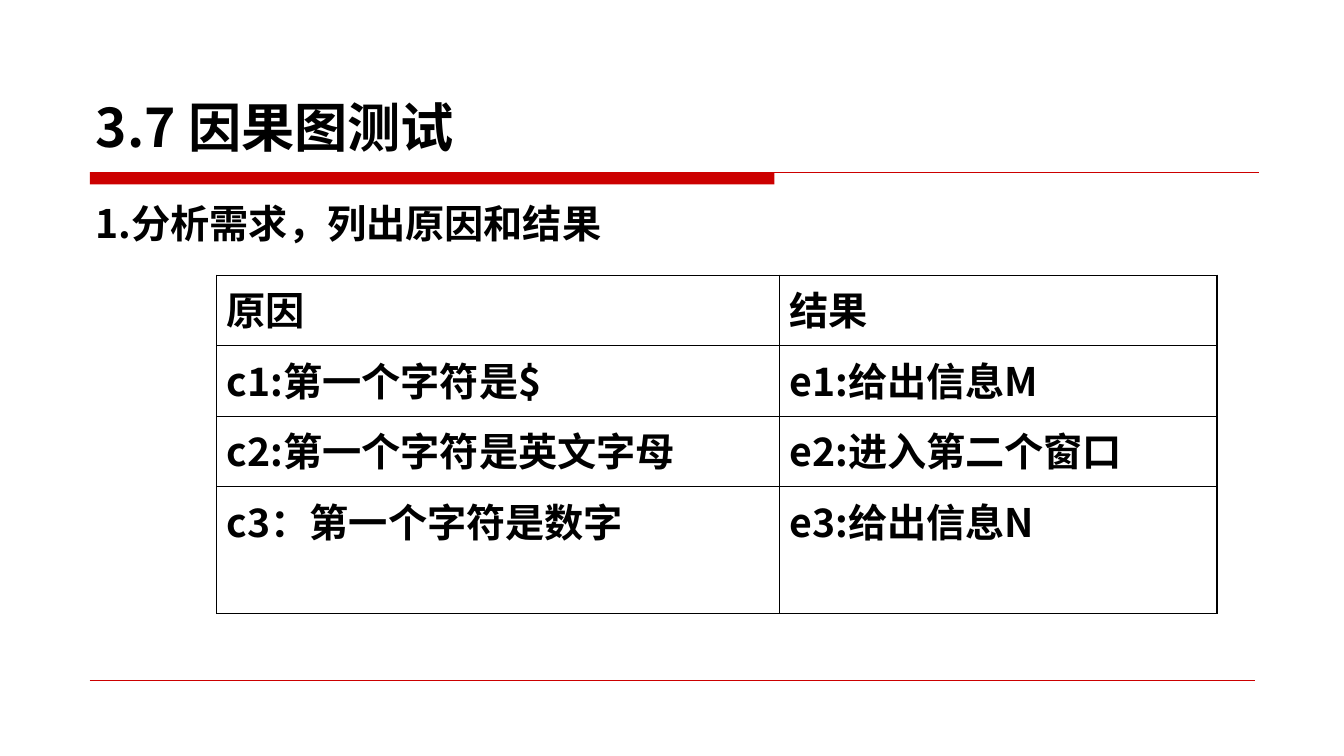
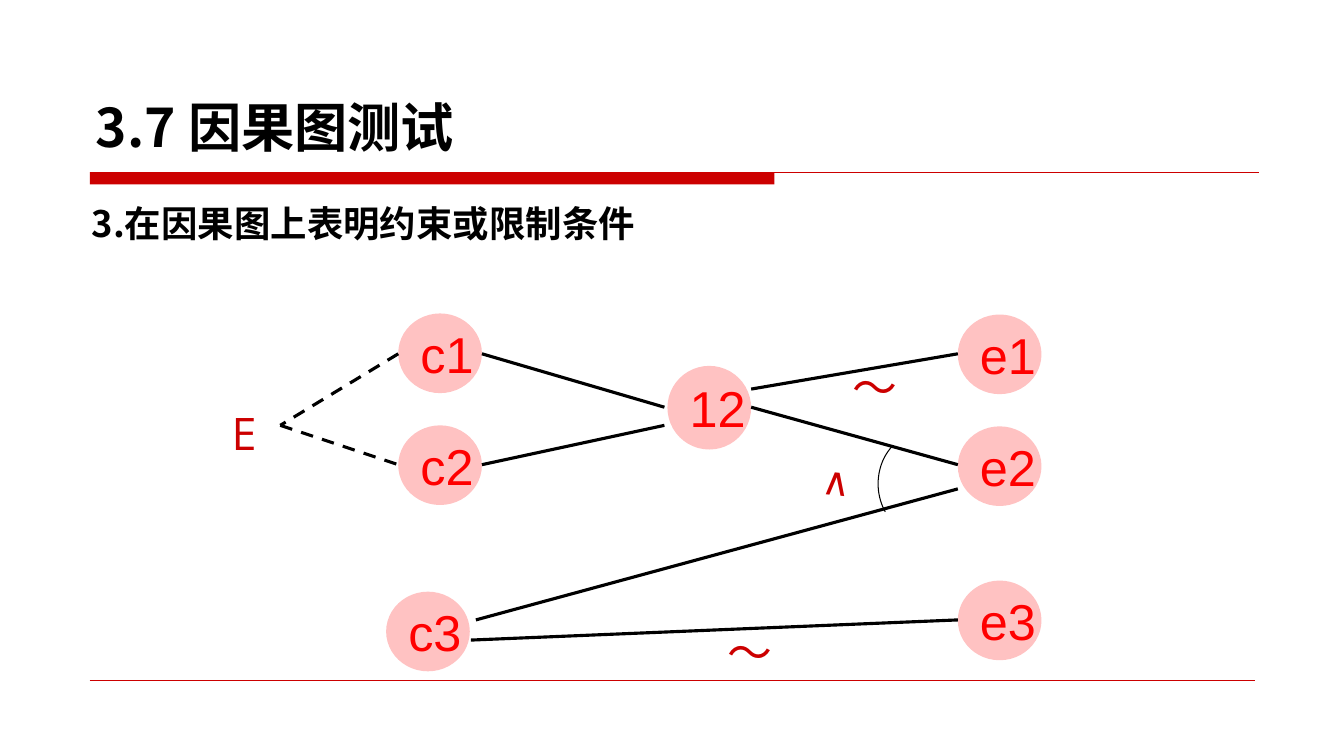
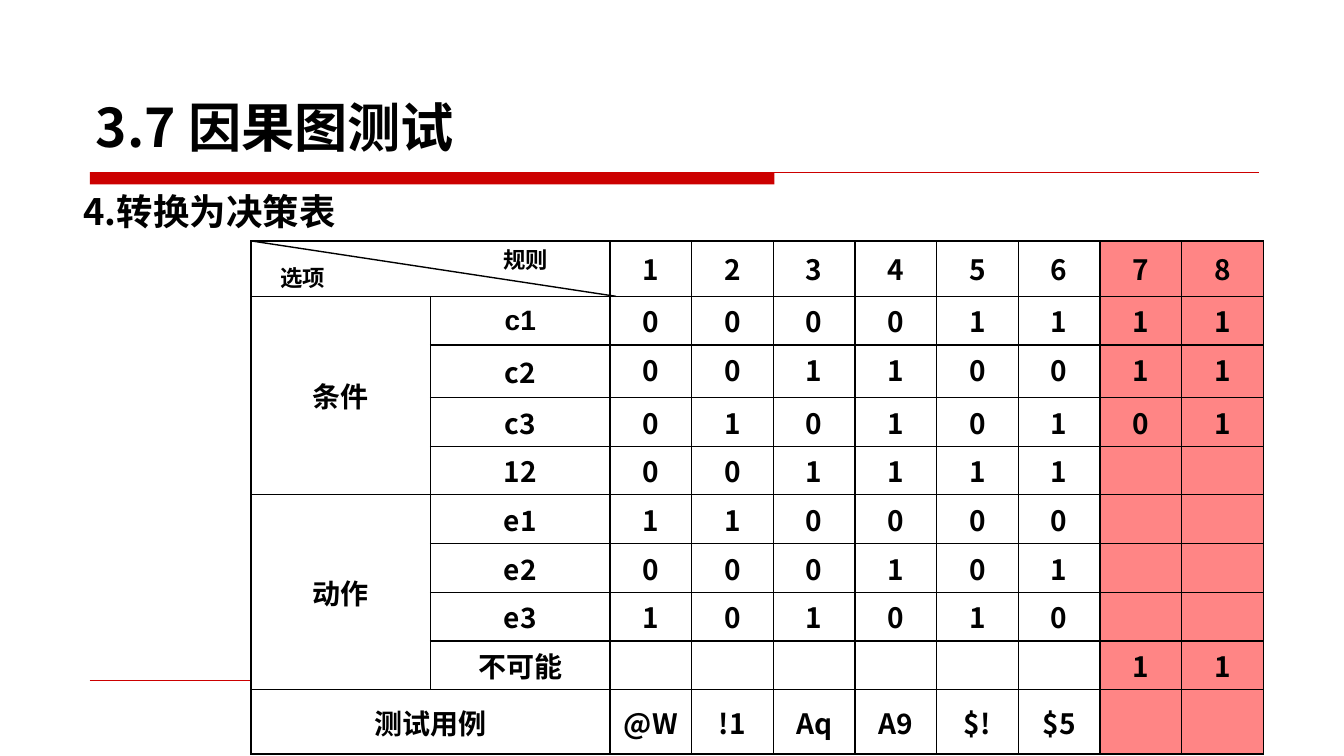
from lxml.etree import SubElement
from pptx import Presentation
from pptx.dml.color import RGBColor
from pptx.enum.dml import MSO_LINE
from pptx.enum.shapes import MSO_CONNECTOR, MSO_SHAPE
from pptx.enum.text import MSO_ANCHOR, MSO_AUTO_SIZE, PP_ALIGN
from pptx.oxml.ns import qn
from pptx.util import Inches, Pt

BLACK = RGBColor(0x00, 0x00, 0x00)
WHITE = RGBColor(0xFF, 0xFF, 0xFF)
CRIMSON = RGBColor(0xCC, 0x00, 0x00)
RED = RGBColor(0xFF, 0x00, 0x00)
PINK = RGBColor(0xFF, 0xC2, 0xC2)
ROSE = RGBColor(0xFF, 0x85, 0x85)

HAN = "Noto Sans CJK SC"
LATIN = "Arial"
SIGN = "Open Sans"
TITLE = "3.7 因果图测试"

CAUSES = [
    ("原因", "结果"),
    ("c1:第一个字符是$", "e1:给出信息M"),
    ("c2:第一个字符是英文字母", "e2:进入第二个窗口"),
    ("c3：第一个字符是数字", "e3:给出信息N"),
]

RULES = [
    ("", "", *"12345678"),
    ("条件", "c1", *"00001111"),
    ("", "c2", *"00110011"),
    ("", "c3", *"01010101"),
    ("", "12", *"001111", "", ""),
    ("动作", "e1", *"110000", "", ""),
    ("", "e2", *"000101", "", ""),
    ("", "e3", *"101010", "", ""),
    ("", "不可能", *[""] * 6, "1", "1"),
    ("测试用例", "", "@W", "!1", "Aq", "A9", "$!", "$5", "", ""),
]

NODES = [
    ("c1", 3.95, 3.11, 0.79),
    ("c2", 3.95, 4.22, 0.79),
    ("c3", 3.83, 5.87, 0.79),
    ("12", 6.62, 3.63, 0.83),
    ("e1", 9.5, 3.12, 0.79),
    ("e2", 9.5, 4.23, 0.79),
    ("e3", 9.5, 5.76, 0.79),
]

EDGES = [
    (4.78, 3.51, 6.59, 4.04),
    (4.78, 4.61, 6.59, 4.22),
    (9.5, 3.51, 7.45, 3.86),
    (9.5, 4.61, 7.45, 4.04),
    (4.72, 6.15, 9.5, 4.85),
    (4.67, 6.35, 9.5, 6.15),
]

LIMITS = [(3.95, 3.51, 2.78, 4.22), (2.78, 4.22, 3.95, 4.61)]

SIGNS = [
    ("E", 2.2, 3.98, 1, 0.64, 32, 0),
    ("～", 7.12, 6.15, 0.92, 0.64, 32, 0),
    ("～", 8.36, 3.52, 0.92, 0.64, 32, 0),
    ("∨", 7.95, 4.56, 0.58, 0.57, 28, 185.7),
]


def style(para, size, face=HAN, color=BLACK, bold=True, align=PP_ALIGN.LEFT):
    """Format a whole paragraph."""
    para.alignment = align
    font = para.font
    font.size, font.name, font.bold = Pt(size), face, bold
    font.color.rgb = color
    SubElement(para._p.pPr.defRPr, qn("a:ea"), typeface=face)


def add_line(slide, ends, width, color=BLACK, dash=None):
    """Draw a straight line between two points."""
    line = slide.shapes.add_connector(MSO_CONNECTOR.STRAIGHT, *map(Inches, ends))
    line.line.color.rgb = color
    line.line.width = Pt(width)
    if dash:
        line.line.dash_style = dash
    SubElement(line._element.spPr, qn("a:effectLst"))


def add_preset(slide, kind, box, fill=None):
    """Add a flat preset shape without an outline."""
    shape = slide.shapes.add_shape(kind, *map(Inches, box))
    shape.shadow.inherit = False
    shape.line.fill.background()
    if fill is None:
        shape.fill.background()
    else:
        shape.fill.solid()
        shape.fill.fore_color.rgb = fill
    return shape


def add_text(slide, text, box, size, before, grow=True, **look):
    """Add a wrapped one-paragraph text box."""
    shape = slide.shapes.add_textbox(*map(Inches, box))
    frame = shape.text_frame
    frame.word_wrap = True
    frame.auto_size = MSO_AUTO_SIZE.SHAPE_TO_FIT_TEXT if grow else MSO_AUTO_SIZE.NONE
    para = frame.paragraphs[0]
    para.text = text
    para.space_before = Pt(size * before)
    style(para, size, **look)
    return shape


def add_page(deck, lead, box, size):
    """Start a slide with its title, rules and lead sentence."""
    slide = deck.slides.add_slide(deck.slide_layouts[5])
    add_preset(slide, MSO_SHAPE.RECTANGLE, (0.89, 1.71, 6.79, 0.12), CRIMSON)
    add_line(slide, (0.89, 1.71, 12.49, 1.71), 0.75, CRIMSON)
    add_line(slide, (0.89, 6.75, 12.45, 6.75), 0.25, CRIMSON)
    title = slide.shapes.title
    title.left, title.top = Inches(0.85), Inches(0.29)
    title.width, title.height = Inches(8.75), Inches(1.33)
    frame = title.text_frame
    frame.text = TITLE
    frame.auto_size = MSO_AUTO_SIZE.NONE
    frame.vertical_anchor = MSO_ANCHOR.BOTTOM
    style(frame.paragraphs[0], 38)
    body = add_text(slide, lead, box, size, 0.2, False, align=PP_ALIGN.JUSTIFY)
    body.text_frame.paragraphs[0].line_spacing = 1.3
    return slide


def set_edges(cell):
    """Give a cell thin black borders."""
    props = cell._tc.get_or_add_tcPr()
    for rank, side in enumerate(("lnL", "lnR", "lnT", "lnB")):
        edge = props.makeelement(qn(f"a:{side}"), {"w": str(Pt(1))})
        fill = SubElement(edge, qn("a:solidFill"))
        SubElement(fill, qn("a:srgbClr"), val=str(BLACK))
        props.insert(rank, edge)


def add_grid(slide, rows, spot, widths, heights, size, align=PP_ALIGN.LEFT):
    """Add a bordered white table."""
    area = (*spot, sum(widths), sum(heights))
    table = slide.shapes.add_table(len(rows), len(widths), *map(Inches, area)).table
    table.first_row = table.horz_banding = False
    for col, width in zip(table.columns, widths):
        col.width = Inches(width)
    for row, height, texts in zip(table.rows, heights, rows):
        row.height = Inches(height)
        for cell, text in zip(row.cells, texts):
            cell.text = text
            style(cell.text_frame.paragraphs[0], size, align=align)
            cell.fill.solid()
            cell.fill.fore_color.rgb = WHITE
            set_edges(cell)
    return table


def add_node(slide, name, left, top, height):
    """Add a round graph node."""
    node = add_preset(slide, MSO_SHAPE.OVAL, (left, top, 0.83, height), PINK)
    frame = node.text_frame
    frame.word_wrap = False
    frame.vertical_anchor = MSO_ANCHOR.MIDDLE
    frame.text = name
    style(frame.paragraphs[0], 36, LATIN, RED, False)


def cause_page(deck):
    """List the causes and the effects."""
    slide = add_page(deck, "1.分析需求，列出原因和结果", (0.85, 1.79, 11.62, 5.53), 28)
    add_grid(slide, CAUSES, (2.15, 2.73), (5.58, 4.34), (0.7, 0.7, 0.7, 1.26), 28)


def graph_page(deck):
    """Draw the cause and effect graph."""
    slide = add_page(deck, "3.在因果图上表明约束或限制条件", (0.81, 1.82, 8.62, 5.53), 26)
    for node in NODES:
        add_node(slide, *node)
    for ends in EDGES:
        add_line(slide, ends, 2.25)
    for ends in LIMITS:
        add_line(slide, ends, 2.25, dash=MSO_LINE.DASH)
    for text, left, top, width, height, size, turn in SIGNS:
        box = (left, top, width, height)
        sign = add_text(slide, text, box, size, 0.5, face=SIGN, color=CRIMSON, bold=False)
        sign.rotation = turn
    arc = add_preset(slide, MSO_SHAPE.ARC, (8.71, 4.3, 0.84, 1))
    arc.adjustments[0], arc.adjustments[1] = 84.85, 140.21
    arc.line.color.rgb = BLACK
    arc.line.width = Pt(0.75)


def rule_page(deck):
    """Show the decision table."""
    slide = add_page(deck, "4.转换为决策表", (0.73, 1.7, 11.81, 5.53), 26)
    widths = [1.78] * 2 + [0.81] * 8
    heights = (0.55, 0.46, 0.52, 0.46, 0.47, 0.46, 0.46, 0.46, 0.46, 0.64)
    table = add_grid(slide, RULES, (2.49, 2.39), widths, heights, 20, PP_ALIGN.CENTER)
    last = len(RULES) - 1
    for row in range(len(RULES)):
        for col in range(len(widths)):
            cell = table.cell(row, col)
            cell.margin_left = cell.margin_right = Inches(0.05)
            cell.margin_top = cell.margin_bottom = Inches(0.04)
            if col < 2 or row in (0, last):
                cell.vertical_anchor = MSO_ANCHOR.MIDDLE
            if col > 7:
                cell.fill.fore_color.rgb = ROSE
    table.cell(1, 1).text_frame.paragraphs[0].font.name = LATIN
    for top, left, low, right in ((0, 0, 0, 1), (1, 0, 4, 0), (5, 0, 8, 0), (last, 0, last, 1)):
        table.cell(top, left).merge(table.cell(low, right))
    add_line(slide, (2.49, 2.39, 6.11, 2.94), 1)
    for text, left, top in (("规则", 4.86, 2.39), ("选项", 2.65, 2.57)):
        add_text(slide, text, (left, top, 0.71, 0.37), 16, 0.5, align=PP_ALIGN.CENTER)


def main():
    """Build and save the deck."""
    deck = Presentation()
    deck.slide_width, deck.slide_height = Inches(13.33), Inches(7.5)
    cause_page(deck)
    graph_page(deck)
    rule_page(deck)
    deck.save("out.pptx")


if __name__ == "__main__":
    main()
